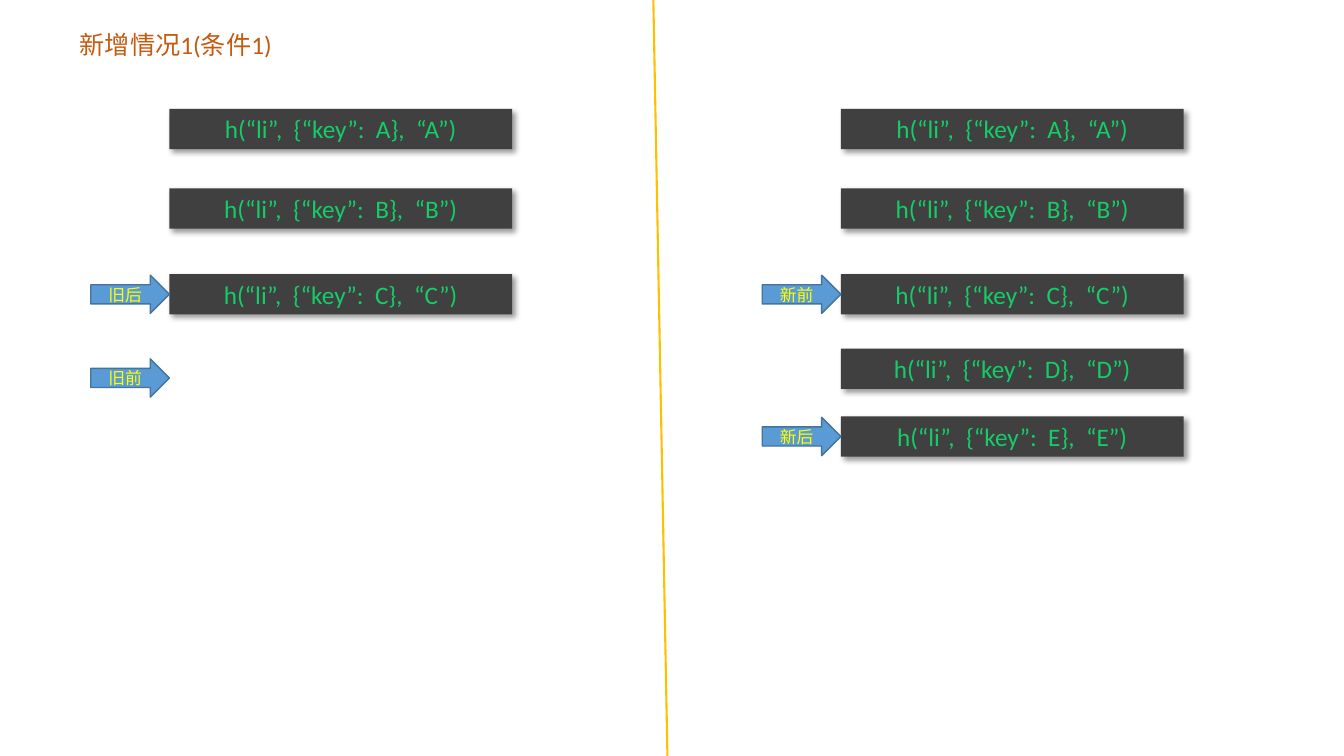
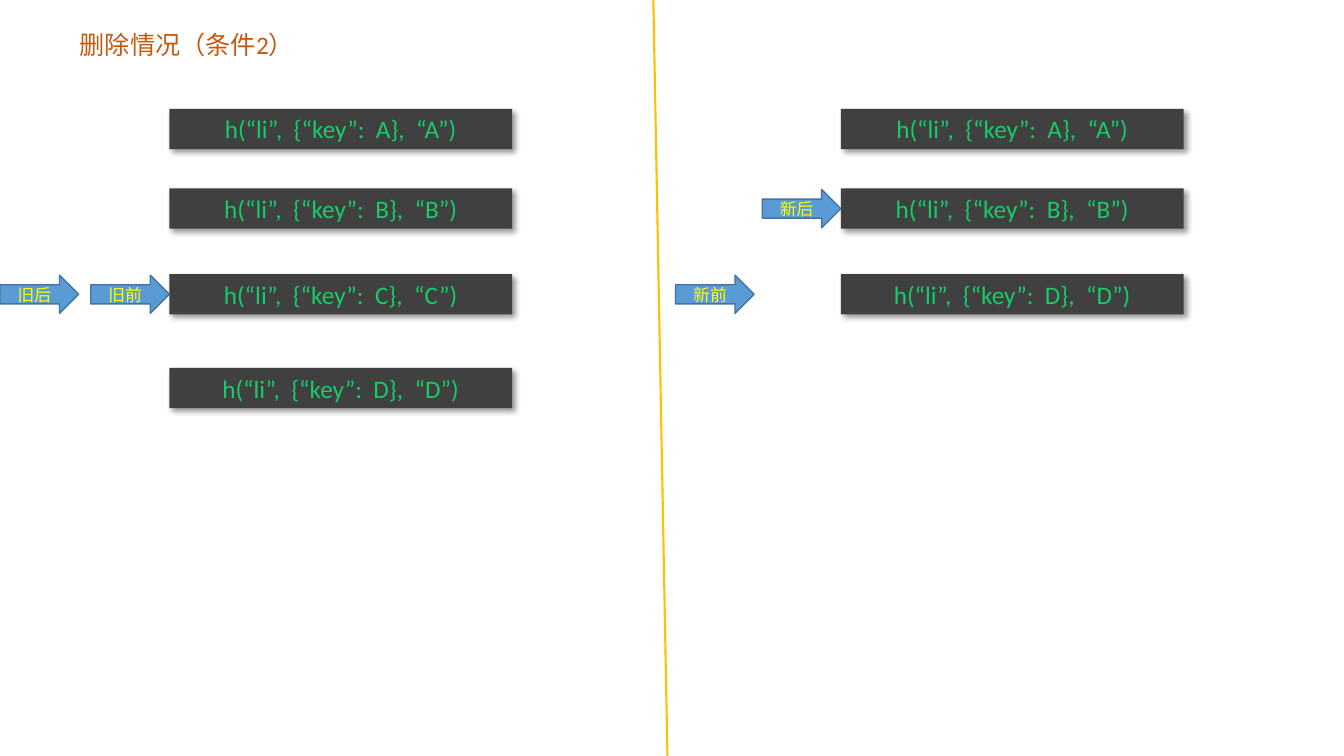
from dataclasses import dataclass

from lxml.etree import SubElement
from pptx import Presentation
from pptx.dml.color import RGBColor
from pptx.enum.shapes import MSO_CONNECTOR, MSO_SHAPE
from pptx.enum.text import MSO_ANCHOR, MSO_AUTO_SIZE, PP_ALIGN
from pptx.oxml.ns import qn
from pptx.util import Inches, Pt


@dataclass(frozen=True)
class Theme:
    font: str = "Calibri"
    title: RGBColor = RGBColor.from_string("C55A11")
    node: RGBColor = RGBColor.from_string("404040")
    code: tuple = (RGBColor.from_string("14CD68"), RGBColor.from_string("0B6E38"))
    pointer: RGBColor = RGBColor.from_string("5B9BD5")
    pointer_edge: RGBColor = RGBColor.from_string("43739E")
    pointer_text: RGBColor = RGBColor.from_string("FFFF00")
    divider: RGBColor = RGBColor.from_string("FFC000")
    shadow: str = "000000"
    large: Pt = Pt(18)
    small: Pt = Pt(12)


WIDTH, HEIGHT = 13.33, 7.5
OLD_LEFT, NEW_LEFT = 1.68, 8.34
NODE_WIDTH, NODE_HEIGHT = 3.4, 0.4
POINTER_WIDTH, POINTER_HEIGHT = 0.78, 0.38
OLD_POINTER = OLD_LEFT - POINTER_WIDTH
NEW_POINTER = NEW_LEFT - POINTER_WIDTH
ROW_A, ROW_B, ROW_C = 1.08, 1.87, 2.72

CASES = [
    {
        "title": "新增情况1(条件1)",
        "old": {"A": ROW_A, "B": ROW_B, "C": ROW_C},
        "new": {"A": ROW_A, "B": ROW_B, "C": ROW_C, "D": 3.46, "E": 4.13},
        "pointers": [
            ("旧前", OLD_POINTER, 3.55),
            ("旧后", OLD_POINTER, ROW_C),
            ("新前", NEW_POINTER, ROW_C),
            ("新后", NEW_POINTER, 4.13),
        ],
    },
    {
        "title": "删除情况（条件2）",
        "old": {"A": ROW_A, "B": ROW_B, "C": ROW_C, "D": 3.65},
        "new": {"A": ROW_A, "B": ROW_B, "D": ROW_C},
        "pointers": [
            ("旧前", OLD_POINTER, ROW_C),
            ("旧后", 0, ROW_C),
            ("新前", 6.7, ROW_C),
            ("新后", NEW_POINTER, ROW_B),
        ],
    },
]


def apply_format(target, values):
    for attribute, value in values.items():
        setattr(target, attribute, value)


class DiffDeck:
    def __init__(self, theme):
        self.theme = theme
        self.deck = Presentation()
        self.slide = None
        apply_format(self.deck, {"slide_width": Inches(WIDTH), "slide_height": Inches(HEIGHT)})

    def start(self, title):
        self.slide = self.deck.slides.add_slide(self.deck.slide_layouts[5])
        heading = self.slide.shapes.title
        apply_format(heading, {
            "left": Inches(0.69), "top": Inches(0.24),
            "width": Inches(5.38), "height": Inches(0.4),
        })
        self.label(heading, title, self.theme.large, PP_ALIGN.LEFT, {
            "vertical_anchor": MSO_ANCHOR.TOP,
            "auto_size": MSO_AUTO_SIZE.SHAPE_TO_FIT_TEXT,
        }).color.rgb = self.theme.title

    def label(self, shape, text, size, alignment, frame_format):
        frame = shape.text_frame
        apply_format(frame, {"text": text, "word_wrap": True, **frame_format})
        paragraph = frame.paragraphs[0]
        paragraph.alignment = alignment
        font = paragraph.runs[0].font
        apply_format(font, {"name": self.theme.font, "size": size})
        return font

    def block(self, preset, left, top, width, height, color):
        shape = self.slide.shapes.add_shape(
            preset, Inches(left), Inches(top), Inches(width), Inches(height))
        shape.shadow.inherit = False
        shape.fill.solid()
        shape.fill.fore_color.rgb = color
        return shape

    def node(self, key, left, top):
        node = self.block(MSO_SHAPE.RECTANGLE, left, top, NODE_WIDTH, NODE_HEIGHT, self.theme.node)
        node.line.fill.background()
        self.cast_shadow(node)
        code = f"h(“li”,  {{“key”:  {key}}},  “{key}”)"
        font = self.label(node, code, self.theme.large, PP_ALIGN.CENTER, {
            "vertical_anchor": MSO_ANCHOR.TOP,
            "auto_size": MSO_AUTO_SIZE.SHAPE_TO_FIT_TEXT,
        })
        font.fill.gradient()
        font.fill.gradient_angle = 0
        for stop, color in zip(font.fill.gradient_stops, self.theme.code):
            stop.color.rgb = color

    def cast_shadow(self, shape):
        effects = shape._element.spPr.find(qn("a:effectLst"))
        shadow = SubElement(effects, qn("a:outerShdw"), {
            "blurRad": str(Pt(4)), "dist": str(Pt(3)), "dir": "2700000",
            "algn": "tl", "rotWithShape": "0",
        })
        color = SubElement(shadow, qn("a:srgbClr"), val=self.theme.shadow)
        SubElement(color, qn("a:alpha"), val="40000")

    def pointer(self, name, left, row):
        top = row + (NODE_HEIGHT - POINTER_HEIGHT) / 2
        pointer = self.block(
            MSO_SHAPE.RIGHT_ARROW, left, top, POINTER_WIDTH, POINTER_HEIGHT, self.theme.pointer)
        pointer.line.color.rgb = self.theme.pointer_edge
        pointer.line.width = Pt(1)
        self.label(pointer, name, self.theme.small, PP_ALIGN.CENTER, {
            "vertical_anchor": MSO_ANCHOR.MIDDLE,
        }).color.rgb = self.theme.pointer_text

    def divider(self):
        divider = self.slide.shapes.add_connector(
            MSO_CONNECTOR.STRAIGHT, Inches(6.48), Inches(0), Inches(6.62), Inches(HEIGHT))
        divider.line.color.rgb = self.theme.divider
        divider.line.width = Pt(1.5)
        SubElement(divider._element.spPr, qn("a:effectLst"))

    def add_case(self, case):
        self.start(case["title"])
        for side, left in (("old", OLD_LEFT), ("new", NEW_LEFT)):
            for key, top in case[side].items():
                self.node(key, left, top)
        self.divider()
        for name, left, row in case["pointers"]:
            self.pointer(name, left, row)


def main():
    diff = DiffDeck(Theme())
    for case in CASES:
        diff.add_case(case)
    diff.deck.save("out.pptx")


if __name__ == "__main__":
    main()
